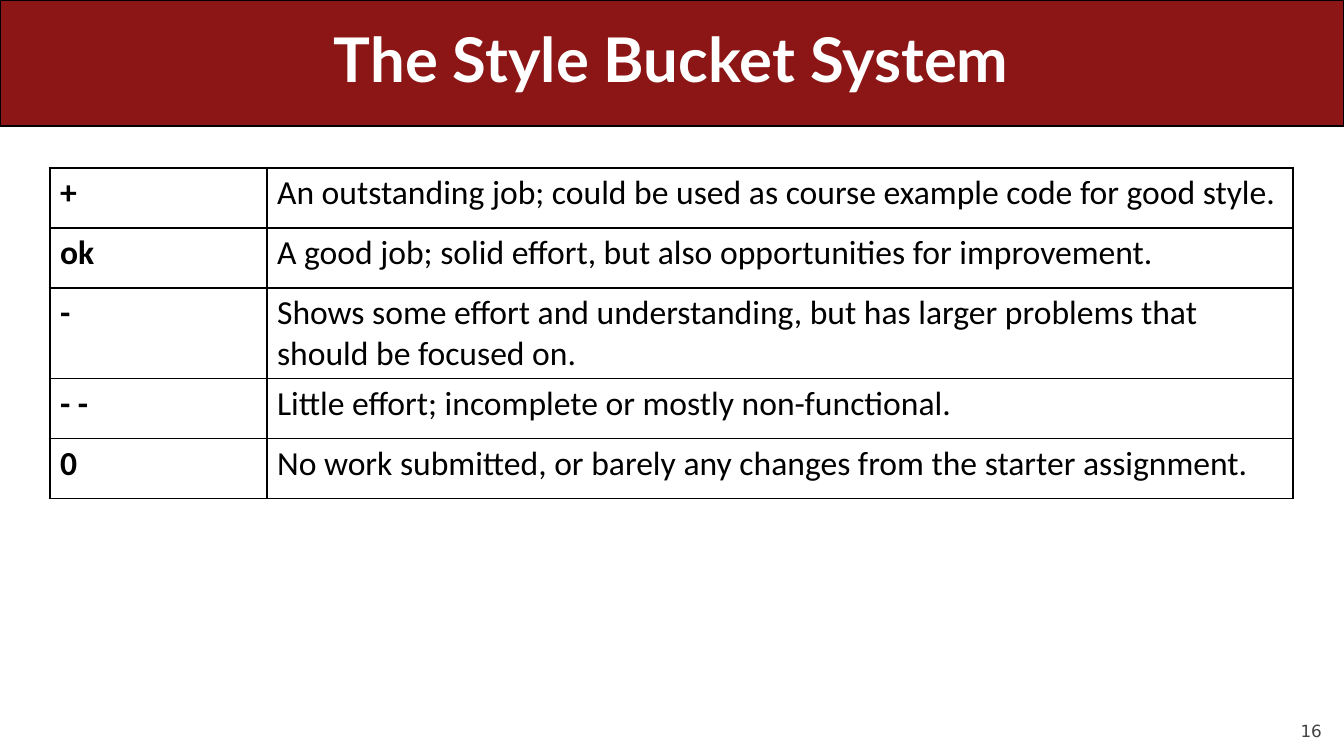
from dataclasses import dataclass

from lxml.etree import SubElement
from pptx import Presentation
from pptx.dml.color import RGBColor as Rgb
from pptx.enum.shapes import MSO_SHAPE as Form
from pptx.enum.text import MSO_ANCHOR as Anchor, PP_ALIGN as Align
from pptx.oxml.ns import qn
from pptx.slide import Slide
from pptx.table import _Cell as Cell
from pptx.text.text import _Paragraph as Para
from pptx.util import Emu, Pt


@dataclass(frozen=True)
class Theme:
    red: str = "8C1515"
    white: str = "FFFFFF"
    black: str = "000000"
    gray: str = "424242"
    head: int = 44
    body: int = 24
    foot: int = 12
    thin: float = 1
    thick: float = 2.25


@dataclass(frozen=True)
class Font:
    name: str
    size: int
    color: str
    bold: bool = False


@dataclass(frozen=True)
class Box:
    left: int
    top: int
    width: int
    height: int

    def emu(self) -> tuple[Emu, Emu, Emu, Emu]:
        return px(self.left), px(self.top), px(self.width), px(self.height)


@dataclass(frozen=True)
class Label:
    box: Box
    text: str
    font: Font
    align: Align
    anchor: Anchor
    pad: int
    lead: float = 1


@dataclass(frozen=True)
class Grade:
    mark: str
    note: str


def px(count: int) -> Emu:
    return Emu(round(count * 914400 / 100.8))


THEME = Theme()
BANNER = Box(0, 0, 1344, 126)
GRID = Box(50, 168, 1243, 300)
COLS = (217, 1026)
MARK = Font("Calibri", THEME.body, THEME.black, True)
NOTE = Font("Calibri", THEME.body, THEME.black)
LABELS = (
    Label(Box(1210, 701, 112, 40), "16", Font("DejaVu Sans", THEME.foot, THEME.gray),
          Align.RIGHT, Anchor.BOTTOM, 0),
    Label(Box(50, 0, 1243, 126), "The Style Bucket System",
          Font("Lato", THEME.head, THEME.white, True),
          Align.CENTER, Anchor.MIDDLE, 5, 0.9),
)
GRADES = (
    Grade("+", "An outstanding job; could be used as course example code for good style."),
    Grade("ok", "A good job; solid effort, but also opportunities for improvement."),
    Grade("-", "Shows some effort and understanding, but has larger problems that "
               "should be focused on."),
    Grade("- -", "Little effort; incomplete or mostly non-functional."),
    Grade("0", "No work submitted, or barely any changes from the starter assignment."),
)


def add_run(para: Para, text: str, font: Font) -> None:
    run = para.add_run()
    run.text = text
    run.font.name = font.name
    run.font.size = Pt(font.size)
    run.font.bold = font.bold
    run.font.color.rgb = Rgb.from_string(font.color)


def add_banner(slide: Slide) -> None:
    shape = slide.shapes.add_shape(Form.ROUNDED_RECTANGLE, *BANNER.emu())
    shape.adjustments[0] = 0
    shape.shadow.inherit = False
    shape.fill.solid()
    shape.fill.fore_color.rgb = Rgb.from_string(THEME.red)
    shape.line.color.rgb = Rgb.from_string(THEME.black)
    shape.line.width = Pt(0.75)


def add_label(slide: Slide, label: Label) -> None:
    frame = slide.shapes.add_textbox(*label.box.emu()).text_frame
    frame.word_wrap = True
    frame.vertical_anchor = label.anchor
    frame.margin_left = frame.margin_right = px(label.pad * 2)
    frame.margin_top = frame.margin_bottom = px(label.pad)
    para = frame.paragraphs[0]
    para.alignment = label.align
    para.line_spacing = label.lead
    add_run(para, label.text, label.font)


def add_edge(cell: Cell, side: str, width: float) -> None:
    props = cell._tc.get_or_add_tcPr()
    line = SubElement(props, qn(f"a:ln{side}"), w=str(Pt(width)))
    fill = SubElement(line, qn("a:solidFill"))
    SubElement(fill, qn("a:srgbClr"), val=THEME.black)


def add_grid(slide: Slide) -> None:
    grid = slide.shapes.add_table(len(GRADES), len(COLS), *GRID.emu()).table
    grid.first_row = grid.horz_banding = False
    for col, width in zip(grid.columns, COLS):
        col.width = px(width)
    for row, grade in enumerate(GRADES):
        grid.rows[row].height = px(GRID.height // len(GRADES))
        for col, (text, font) in enumerate(((grade.mark, MARK), (grade.note, NOTE))):
            cell = grid.cell(row, col)
            add_run(cell.text_frame.paragraphs[0], text, font)
            outer = {"L": col == 0, "R": col == 1, "T": row == 0, "B": False}
            for side, bold in outer.items():
                add_edge(cell, side, THEME.thick if bold else THEME.thin)
            cell.fill.background()


def main() -> None:
    deck = Presentation()
    deck.slide_width, deck.slide_height = px(1344), px(756)
    slide = deck.slides.add_slide(deck.slide_layouts[6])
    add_banner(slide)
    for label in LABELS:
        add_label(slide, label)
    add_grid(slide)
    deck.save("out.pptx")


if __name__ == "__main__":
    main()
